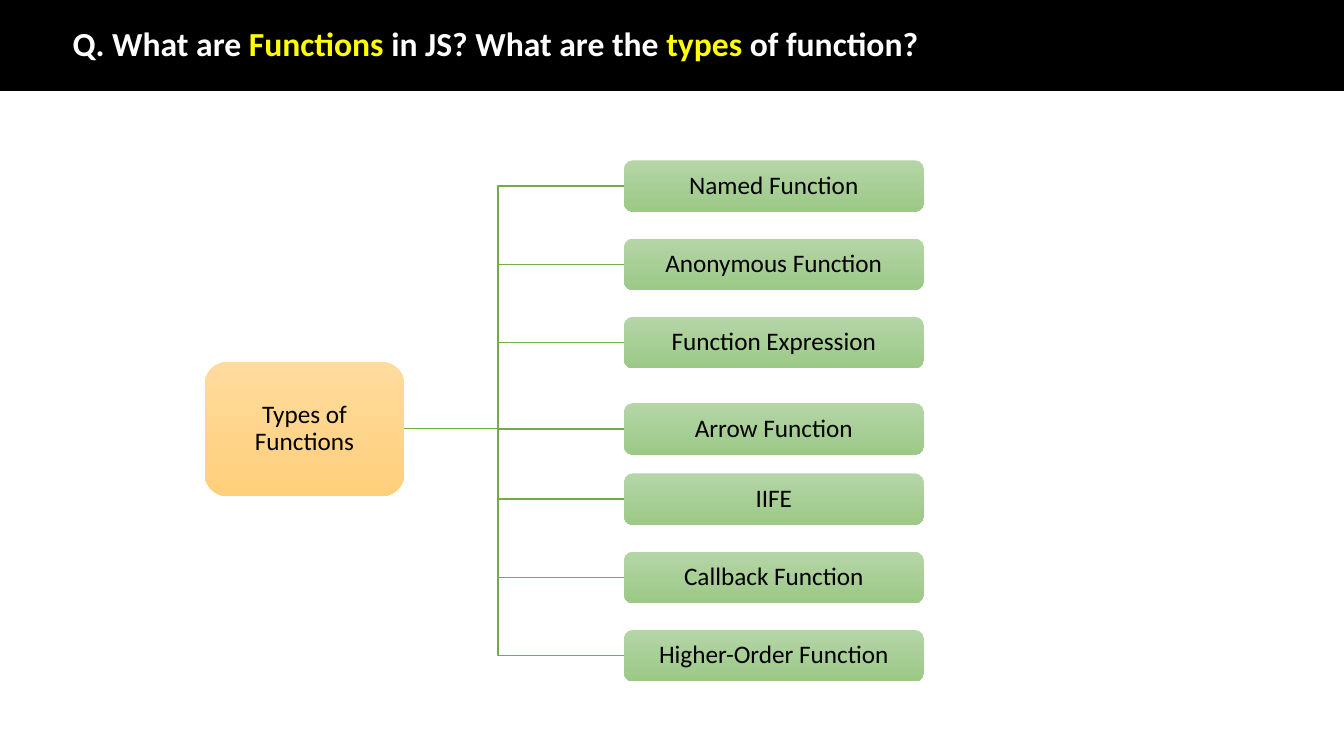
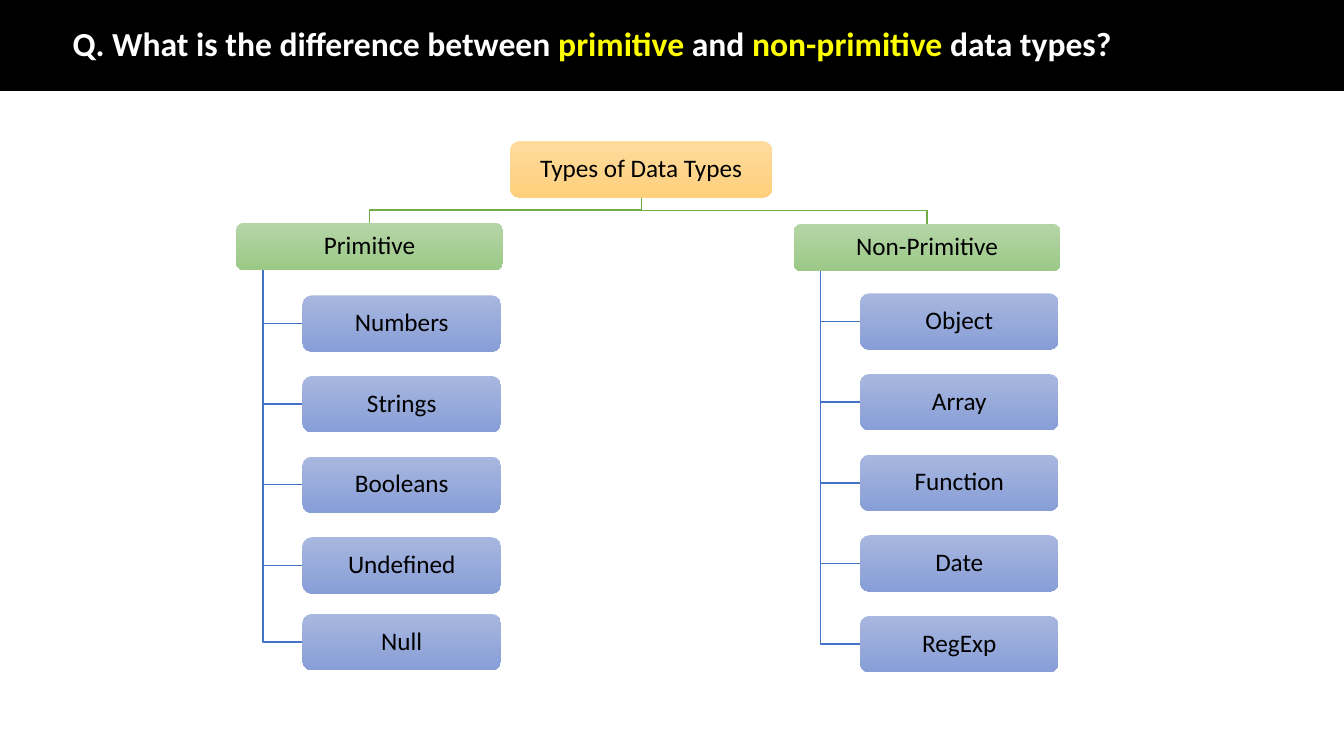
from pptx import Presentation
from pptx.dml.color import RGBColor
from pptx.enum.shapes import MSO_SHAPE
from pptx.enum.text import MSO_ANCHOR, MSO_AUTO_SIZE, PP_ALIGN
from pptx.util import Inches, Pt

# Shared style
FONT = "Calibri"
rgb = RGBColor.from_string
BLACK, WHITE, YELLOW = "000000", "FFFFFF", "FFFF00"
ORANGE = ("FFDB9E", "FFD07C")
GREEN = ("B5D5A7", "9CC987")
BLUE = ("A8B7DF", "889ED7")
GREEN_LINE, BLUE_LINE = "70AD47", "4472C4"


def add_box(s, text, x, y, w, h, gradient):
    sp = s.shapes.add_shape(MSO_SHAPE.FLOWCHART_ALTERNATE_PROCESS,
                            Inches(x), Inches(y), Inches(w), Inches(h))
    sp.shadow.inherit = False
    sp.line.fill.background()
    sp.fill.gradient()
    sp.fill.gradient_angle = 270
    for stop, color in zip(sp.fill.gradient_stops, gradient):
        stop.color.rgb = rgb(color)
    tf = sp.text_frame
    tf.word_wrap = True
    tf.vertical_anchor = MSO_ANCHOR.MIDDLE
    tf.margin_left = tf.margin_right = Inches(0.07)
    tf.margin_top = tf.margin_bottom = Inches(0.04)
    tf.text = text
    p = tf.paragraphs[0]
    p.alignment = PP_ALIGN.CENTER
    p.line_spacing = 0.9
    p.font.name, p.font.size = FONT, Pt(18)
    p.font.color.rgb = rgb(BLACK)


def add_bent_line(s, points, color):
    start, *rest = [(Inches(x), Inches(y)) for x, y in points]
    outline = s.shapes.build_freeform(*start)
    outline.add_line_segments(rest, close=False)
    sp = outline.convert_to_shape()
    sp.shadow.inherit = False
    sp.fill.background()
    sp.line.color.rgb = rgb(color)
    sp.line.width = Pt(1)


prs = Presentation()
prs.slide_width, prs.slide_height = Inches(13.33), Inches(7.5)

# Band and title of each slide; words between asterisks are highlighted
titles = [
    "Q. What are *Functions* in JS? What are the *types* of function?",
    "Q. What is the difference between *primitive* and *non-primitive* data types?",
]
for title in titles:
    s = prs.slides.add_slide(prs.slide_layouts[5])
    sp = s.shapes.title
    sp.left, sp.top = Inches(0.62), Inches(0.28)
    sp.width, sp.height = Inches(11.5), Inches(0.35)
    tf = sp.text_frame
    tf.auto_size = MSO_AUTO_SIZE.NONE
    tf.word_wrap = True
    tf.vertical_anchor = MSO_ANCHOR.MIDDLE
    p = tf.paragraphs[0]
    p.alignment = PP_ALIGN.LEFT
    p.line_spacing = 0.9
    for i, part in enumerate(title.split("*")):
        r = p.add_run()
        r.text = part
        r.font.name, r.font.size, r.font.bold = FONT, Pt(24), True
        r.font.color.rgb = rgb(YELLOW if i % 2 else WHITE)

    band = s.shapes.add_shape(MSO_SHAPE.RECTANGLE, 0, Inches(-0.01),
                              prs.slide_width, Inches(0.91))
    band.shadow.inherit = False
    band.fill.solid()
    band.fill.fore_color.rgb = rgb(BLACK)
    band.line.color.rgb = rgb(BLACK)
    band.line.width = Pt(1)
    sp.element.addprevious(band.element)

# Slide 1: horizontal tree of function types
s = prs.slides[0]
functions = ["Named Function", "Anonymous Function", "Function Expression",
             "Arrow Function", "IIFE", "Callback Function", "Higher-Order Function"]
first_top, last_top = 1.59, 6.25
pitch = (last_top - first_top) / (len(functions) - 1)
tops = [first_top + i * pitch for i in range(len(functions))]
tops[functions.index("Arrow Function")] = 4  # level with the root
root_y, line_x, spine_x, leaf_x, leaf_w, leaf_h = 4.25, 3.68, 4.94, 6.19, 2.97, 0.51

# Lines start under the root box, so they are drawn first
for y in reversed(tops):
    leaf_y = y + leaf_h / 2
    add_bent_line(s, [(line_x, root_y), (spine_x, root_y), (spine_x, leaf_y),
                      (leaf_x, leaf_y)], GREEN_LINE)
add_box(s, "Types of Functions", 2.03, 3.59, 1.98, 1.33, ORANGE)
for name, y in zip(functions, tops):
    add_box(s, name, leaf_x, y, leaf_w, leaf_h, GREEN)

# Slide 2: data types in two groups under one root
s = prs.slides[1]
groups = [
    ("Primitive", 2.34, 2.21, 2.93, 6.09,
     ["Numbers", "Strings", "Booleans", "Undefined", "Null"]),
    ("Non-Primitive", 7.87, 2.22, 2.91, 6.11,
     ["Object", "Array", "Function", "Date", "RegExp"]),
]
root_x, root_y, root_w, root_h = 5.06, 1.4, 2.6, 0.56
group_w, group_h, leaf_w, leaf_h = 2.65, 0.47, 1.97, 0.56
pitch = 0.8

add_box(s, "Types of Data Types", root_x, root_y, root_w, root_h, ORANGE)
for name, x, group_y, first_top, last_top, leaves in groups:
    # Root to group
    start_x, start_y, mid_x = root_x + root_w / 2, root_y + root_h, x + group_w / 2
    bus_y = (start_y + group_y) / 2
    add_bent_line(s, [(start_x, start_y), (start_x, bus_y), (mid_x, bus_y),
                      (mid_x, group_y)], GREEN_LINE)
    add_box(s, name, x, group_y, group_w, group_h, GREEN)

    # Group to leaves
    spine_x, leaf_x = x + 0.27, x + 0.66
    for i, leaf_name in enumerate(leaves):
        y = min(first_top + i * pitch, last_top)
        leaf_y = y + leaf_h / 2
        add_bent_line(s, [(spine_x, group_y + group_h), (spine_x, leaf_y),
                          (leaf_x, leaf_y)], BLUE_LINE)
        add_box(s, leaf_name, leaf_x, y, leaf_w, leaf_h, BLUE)

prs.save("out.pptx")
